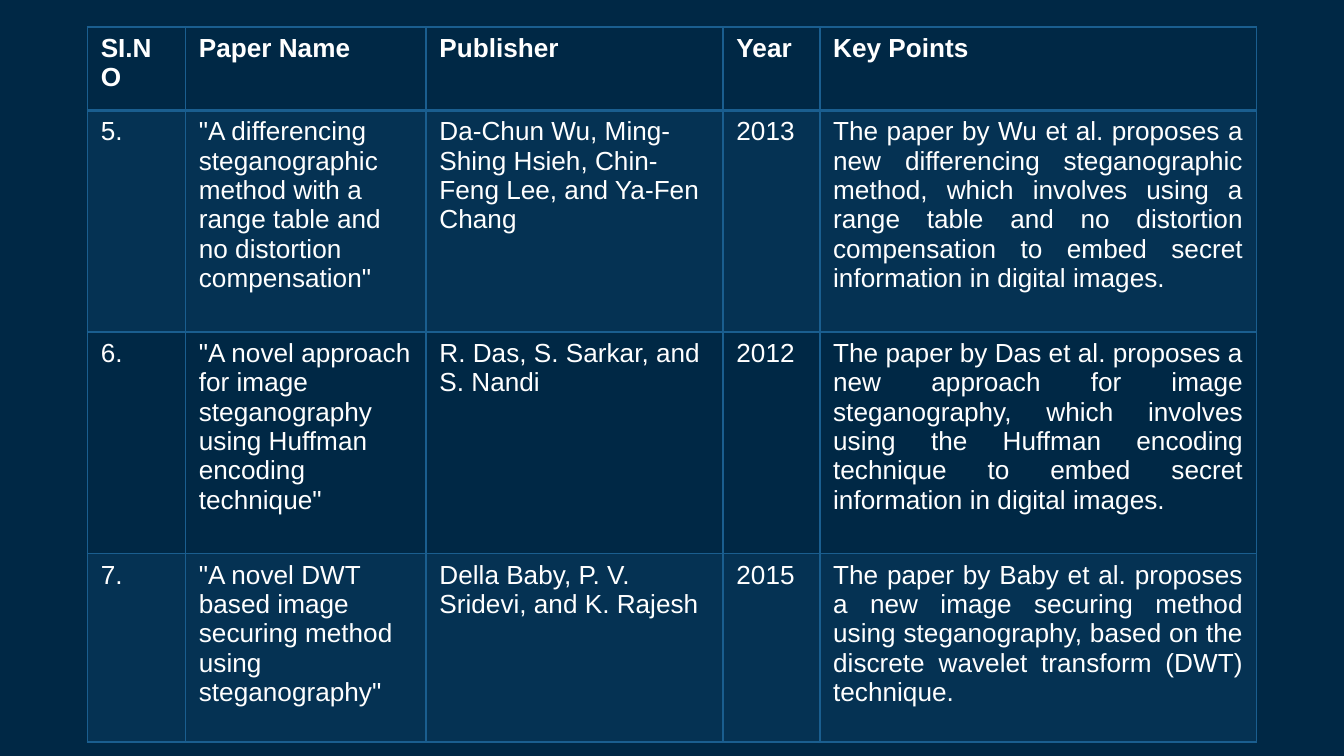
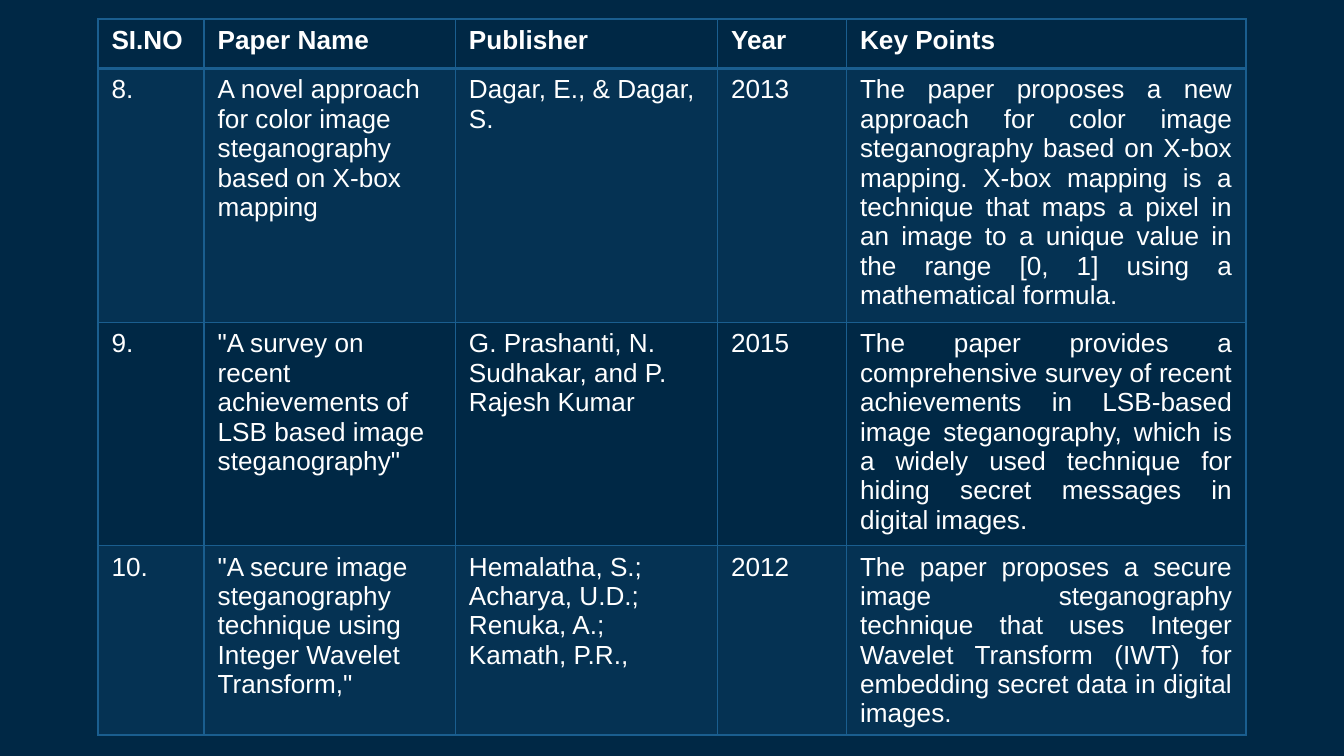
"""Build two literature survey slides, each holding one table of papers."""
from dataclasses import dataclass

from lxml.etree import SubElement
from pptx import Presentation
from pptx.dml.color import RGBColor
from pptx.enum.text import PP_ALIGN
from pptx.oxml.ns import qn
from pptx.util import Inches, Pt


@dataclass(frozen=True)
class Theme:
    background: str = "002845"
    accent: str = "1A5E8F"
    text: str = "FFFFFF"
    font: str = "Arial"
    size: int = 14
    band_alpha: int = 20
    border: int = 1
    header_rule: int = 2
    no_style: str = "{2D5ABB26-0587-4C30-8999-92F81FD0307C}"


THEME = Theme()

HEADER = ("SI.NO", "Paper Name", "Publisher", "Year", "Key Points")

SURVEYS = [
    {
        "origin": (0.65, 0.2),
        "cols": (0.73, 1.79, 2.21, 0.72, 3.25),
        "rows": (0.62, 1.65, 1.65, 1.4),
        "papers": [
            ("5.",
             '"A differencing steganographic method with a range table and '
             'no distortion compensation"',
             "Da-Chun Wu, Ming-Shing Hsieh, Chin-Feng Lee, and Ya-Fen Chang",
             "2013",
             "The paper by Wu et al. proposes a new differencing steganographic "
             "method, which involves using a range table and no distortion "
             "compensation to embed secret information in digital images."),
            ("6.",
             '"A novel approach for image steganography using Huffman '
             'encoding technique"',
             "R. Das, S. Sarkar, and S. Nandi",
             "2012",
             "The paper by Das et al. proposes a new approach for image "
             "steganography, which involves using the Huffman encoding "
             "technique to embed secret information in digital images."),
            ("7.",
             '"A novel DWT based image securing method using steganography"',
             "Della Baby, P. V. Sridevi, and K. Rajesh",
             "2015",
             "The paper by Baby et al. proposes a new image securing method "
             "using steganography, based on the discrete wavelet transform "
             "(DWT) technique."),
        ],
    },
    {
        "origin": (0.73, 0.14),
        "cols": (0.79, 1.87, 1.95, 0.96, 2.97),
        "rows": (0.37, 1.89, 1.66, 1.41),
        "papers": [
            ("8.",
             "A novel approach for color image steganography based on X-box "
             "mapping",
             "Dagar, E., & Dagar, S.",
             "2013",
             "The paper proposes a new approach for color image steganography "
             "based on X-box mapping. X-box mapping is a technique that maps a "
             "pixel in an image to a unique value in the range [0, 1] using a "
             "mathematical formula."),
            ("9.",
             '"A survey on recent achievements of LSB based image '
             'steganography"',
             "G. Prashanti, N. Sudhakar, and P. Rajesh Kumar",
             "2015",
             "The paper provides a comprehensive survey of recent achievements "
             "in LSB-based image steganography, which is a widely used "
             "technique for hiding secret messages in digital images."),
            ("10.",
             '"A secure image steganography technique using Integer Wavelet '
             'Transform,"',
             "Hemalatha, S.; Acharya, U.D.; Renuka, A.; Kamath, P.R.,",
             "2012",
             "The paper proposes a secure image steganography technique that "
             "uses Integer Wavelet Transform (IWT) for embedding secret data "
             "in digital images."),
        ],
    },
]


def write_text(cell, text, bold=False, align=PP_ALIGN.LEFT):
    p = cell.text_frame.paragraphs[0]
    p.alignment = align
    r = p.add_run()
    r.text = text
    r.font.name = THEME.font
    r.font.size = Pt(THEME.size)
    r.font.bold = bold
    r.font.color.rgb = RGBColor.from_string(THEME.text)


def draw_borders(cell, top, bottom):
    tc_pr = cell._tc.get_or_add_tcPr()
    widths = {"L": THEME.border, "R": THEME.border, "T": top, "B": bottom}
    for side, width in widths.items():
        ln = SubElement(tc_pr, qn(f"a:ln{side}"), w=str(Pt(width)))
        fill = SubElement(ln, qn("a:solidFill"))
        SubElement(fill, qn("a:srgbClr"), val=THEME.accent)


def fill_cell(cell, banded):
    if not banded:
        cell.fill.background()
        return
    cell.fill.solid()
    cell.fill.fore_color.rgb = RGBColor.from_string(THEME.accent)
    color = cell._tc.tcPr.find(f"{qn('a:solidFill')}/{qn('a:srgbClr')}")
    SubElement(color, qn("a:alpha"), val=str(THEME.band_alpha * 1000))


def add_survey(slide, survey):
    cols, rows = survey["cols"], survey["rows"]
    left, top = survey["origin"]
    frame = slide.shapes.add_table(
        len(rows), len(cols), Inches(left), Inches(top),
        Inches(sum(cols)), Inches(sum(rows)))
    table = frame.table
    table.horz_banding = False
    table._tbl.tblPr.find(qn("a:tableStyleId")).text = THEME.no_style
    for col, width in zip(table.columns, cols):
        col.width = Inches(width)
    for row, height in zip(table.rows, rows):
        row.height = Inches(height)

    for i, texts in enumerate([HEADER, *survey["papers"]]):
        rule_above = THEME.header_rule if i == 1 else THEME.border
        rule_below = THEME.header_rule if i == 0 else THEME.border
        for j, text in enumerate(texts):
            cell = table.cell(i, j)
            justified = i > 0 and j == len(cols) - 1
            write_text(cell, text, bold=i == 0,
                       align=PP_ALIGN.JUSTIFY if justified else PP_ALIGN.LEFT)
            draw_borders(cell, rule_above, rule_below)
            fill_cell(cell, banded=i % 2 == 1)


def main():
    prs = Presentation()
    prs.slide_width = Inches(10)
    prs.slide_height = prs.slide_width * 9 // 16
    background = prs.slide_master.background.fill
    background.solid()
    background.fore_color.rgb = RGBColor.from_string(THEME.background)
    blank = prs.slide_layouts.get_by_name("Blank")
    for survey in SURVEYS:
        add_survey(prs.slides.add_slide(blank), survey)
    prs.save("out.pptx")


if __name__ == "__main__":
    main()
